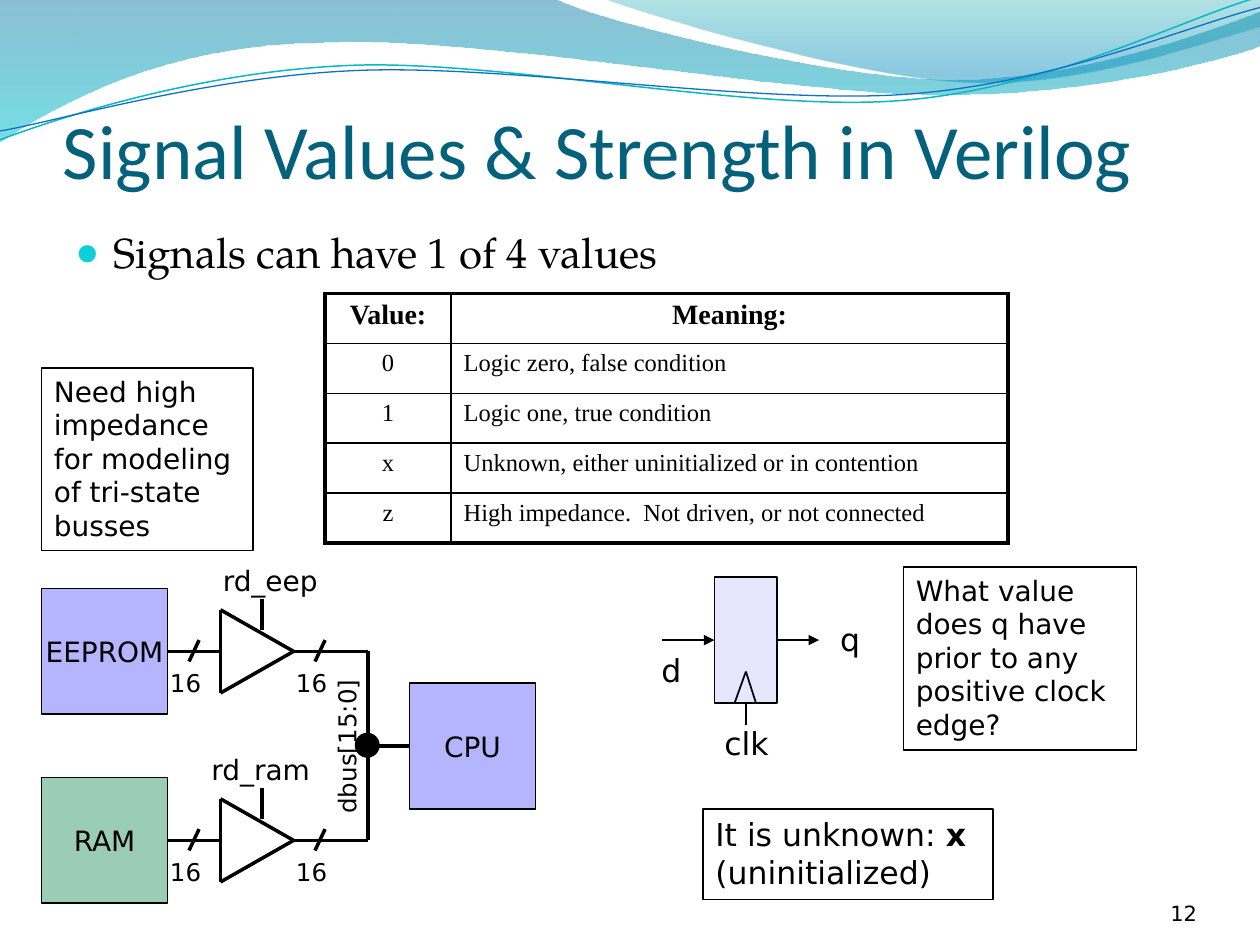
from lxml import etree
from pptx import Presentation, util as u
from pptx.dml.color import RGBColor
from pptx.enum import shapes, text
from pptx.oxml import parse_xml
from pptx.oxml.ns import nsdecls, qn

Inches, Pt = u.Inches, u.Pt
COLORS = {
    "black": "000000", "title": "04617B", "bullet": "0BD0D9",
    "block": "6969FF", "ram": "339966", "teal_line": "0AB8BF", "blue_line": "0F6FC6",
    "wave_top": "0074A1", "wave_bottom": "00C6CF",
    "crest_top": "00A1A9", "crest_bottom": "008BBF",
}
SANS, SERIF = "DejaVu Sans", "Times New Roman"
PLAIN = {"size": 16, "name": SANS, "color": "black", "bold": False}
LEFT, CENTER, RIGHT = text.PP_ALIGN.LEFT, text.PP_ALIGN.CENTER, text.PP_ALIGN.RIGHT
TOP, MIDDLE, BOTTOM = text.MSO_ANCHOR.TOP, text.MSO_ANCHOR.MIDDLE, text.MSO_ANCHOR.BOTTOM

# Each wave is a start point followed by lines (2 numbers) and Bezier curves (6).
WAVE = [(0, -.01), (4.4, -.01), (4.76, .17, 6.64, .63, 7.58, .63),
        (8.53, .63, 9.58, .26, 10, .09), (10.01, .36),
        (9.83, .44, 8.7, .76, 7.46, .75), (6.22, .75, 3.82, .28, 2.57, .34),
        (1.29, .35, .46, .83, -.01, 1.13)]
CREST = [(4.79, -.01), (5.09, .11, 6.82, .62, 7.69, .65),
         (8.56, .69, 9.61, .32, 10, .21), (10, 0)]
TEAL_CURVE = [(0, 1.11), (.48, .93, 1.58, .57, 2.77, .52),
              (3.95, .47, 5.93, .89, 7.13, .8), (8.33, .71, 9.38, .15, 9.98, -.02)]
BLUE_CURVE = [(0, 1.04), (.47, .96, 1.64, .61, 2.83, .56),
              (4.03, .51, 5.97, .83, 7.17, .75), (8.36, .67, 9.41, .21, 10, .06)]
ROWS = [("Value:", "Meaning:"), ("0", "Logic zero, false condition"),
        ("1", "Logic one, true condition"),
        ("x", "Unknown, either uninitialized or in contention"),
        ("z", "High impedance.  Not driven, or not connected")]


def rgb(color):
    return RGBColor.from_string(COLORS[color])


def fill_text(tf, paragraphs, align=LEFT, **fmt):
    """Write paragraphs; each is a string or a list of (string, format) runs."""
    fmt = {**PLAIN, **fmt}
    for i, content in enumerate(paragraphs):
        p = tf.add_paragraph() if i else tf.paragraphs[0]
        p.alignment = align
        for words, extra in [(content, {})] if isinstance(content, str) else content:
            r = p.add_run()
            r.text = words
            values = {**fmt, **extra}
            r.font.color.rgb = rgb(values.pop("color"))
            values["size"] = Pt(values["size"])
            for name, value in values.items():
                setattr(r.font, name, value)


def add_label(s, at, *paragraphs, wrap=False, anchor=TOP, margins=None, rotation=0, **fmt):
    sp = s.shapes.add_textbox(*map(Inches, at))
    sp.rotation = rotation
    tf = sp.text_frame
    tf.word_wrap, tf.vertical_anchor = wrap, anchor
    for side, margin in zip(("left", "top", "right", "bottom"), margins or ()):
        setattr(tf, f"margin_{side}", Inches(margin))
    fill_text(tf, paragraphs, **fmt)
    return sp


def add_box(s, at, *paragraphs, fill=None, alpha=100, kind="RECTANGLE", weight=1,
            wrap=False, anchor=TOP, **fmt):
    sp = s.shapes.add_shape(shapes.MSO_SHAPE[kind], *map(Inches, at))
    sp.shadow.inherit = False
    sp.line.color.rgb, sp.line.width = rgb("black"), Pt(weight)
    if fill:
        sp.fill.solid()
        sp.fill.fore_color.rgb = rgb(fill)
        if alpha < 100:
            clr = sp._element.spPr.find(qn("a:solidFill"))[0]
            etree.SubElement(clr, qn("a:alpha"), val=str(alpha * 1000))
    else:
        sp.fill.background()
    tf = sp.text_frame
    tf.word_wrap, tf.vertical_anchor = wrap, anchor
    fill_text(tf, paragraphs, **fmt)
    return sp


def add_block(s, at, name, fill):
    return add_box(s, (*at, 1, 1), name, fill=fill, alpha=49, anchor=MIDDLE, align=CENTER)


def add_wire(s, start, end, weight=2, arrow=False, begin=None, finish=None):
    """Draw a line; begin and finish are (shape, side) joints."""
    c = s.shapes.add_connector(shapes.MSO_CONNECTOR.STRAIGHT, *map(Inches, (*start, *end)))
    if begin:
        c.begin_connect(*begin)
    if finish:
        c.end_connect(*finish)
    c.line.color.rgb, c.line.width = rgb("black"), Pt(weight)
    if arrow:
        etree.SubElement(c.line._get_or_add_ln(), qn("a:tailEnd"), type="triangle")
    etree.SubElement(c._element.spPr, qn("a:effectLst"))


def bend_segments(sp, outline):
    """Merge each three line steps that stand for a curve into one Bezier curve."""
    steps = iter(list(sp._element.iter(qn("a:lnTo"))))
    for seg in outline[1:]:
        group = [next(steps) for _ in range(len(seg) // 2)]
        if len(group) == 3:
            curve = etree.Element(qn("a:cubicBezTo"))
            group[0].addprevious(curve)
            for step in group:
                curve.append(step[0])
                step.getparent().remove(step)


def add_wave(s, outline, stops=None, line=None):
    """Draw a filled wave from (position, color, alpha) stops, or a (color, width) curve."""
    points = [(round(seg[i] * 1000), round(seg[i + 1] * 1000))
              for seg in outline for i in range(0, len(seg), 2)]
    builder = s.shapes.build_freeform(*points[0], scale=Inches(1) / 1000)
    builder.add_line_segments(points[1:], close=bool(stops))
    sp = builder.convert_to_shape()
    bend_segments(sp, outline)
    sp.shadow.inherit = False
    sp.fill.background()
    if stops:
        sp.line.fill.background()
        gs = "".join(f'<a:gs pos="{pos * 1000}"><a:srgbClr val="{COLORS[color]}">'
                     f'<a:alpha val="{alpha * 1000}"/></a:srgbClr></a:gs>'
                     for pos, color, alpha in stops)
        spPr = sp._element.spPr
        spPr.replace(spPr.find(qn("a:noFill")), parse_xml(
            f'<a:gradFill {nsdecls("a")}><a:gsLst>{gs}</a:gsLst>'
            '<a:lin ang="5400000" scaled="0"/></a:gradFill>'))
    else:
        sp.line.color.rgb, sp.line.width = rgb(line[0]), Pt(line[1])


def add_bullet(p):
    pPr = p._p.get_or_add_pPr()
    pPr.set("marL", str(Inches(.3)))
    pPr.set("indent", str(-Inches(.3)))
    clr = etree.SubElement(pPr, qn("a:buClr"))
    etree.SubElement(clr, qn("a:srgbClr"), val=COLORS["bullet"])
    etree.SubElement(pPr, qn("a:buSzPct"), val="95000")
    etree.SubElement(pPr, qn("a:buFont"), typeface=SERIF)
    etree.SubElement(pPr, qn("a:buChar"), char="●")


def set_borders(cell, outer):
    """Give the sides named in outer a heavy line and the others a thin one."""
    for side in "LRTB":
        width = Pt(2.25 if side in outer else 1)
        ln = etree.SubElement(cell._tc.get_or_add_tcPr(), qn(f"a:ln{side}"), w=str(width))
        fill = etree.SubElement(ln, qn("a:solidFill"))
        etree.SubElement(fill, qn("a:srgbClr"), val=COLORS["black"])


def add_value_table(s):
    last = len(ROWS) - 1
    table = s.shapes.add_table(len(ROWS), 2, *map(Inches, (2.58, 2.33, 5.42, 1.98))).table
    for col, width in zip(table.columns, (1, 4.42)):
        col.width = Inches(width)
    for i, row in enumerate(ROWS):
        for j, words in enumerate(row):
            cell = table.cell(i, j)
            set_borders(cell, "LR"[j] + ("T" if i == 0 else "B" if i == last else ""))
            cell.fill.background()
            fill_text(cell.text_frame, [words], LEFT if i and j else CENTER,
                      size=14 if i else 16, name=SERIF, bold=i == 0)


def add_tristate(s, block, y, enable, enable_x, enable_width):
    """Draw a block's buffered 16-bit path to the bus, centred on height y."""
    tip, back, half = (2.33, y), 1.75, .33
    upper, lower = (back, y - half), (back, y + half)
    for start, end in ((tip, upper), (tip, lower), (lower, upper), (tip, (2.92, y)),
                       ((2.08, y - .17), (2.08, y - .42))):
        add_wire(s, start, end)
    add_wire(s, (back, y), (1.33, y), finish=(block, 3))
    for x in (1.5, 2.5):
        add_wire(s, (x + .08, y - .09), (x, y + .08))
        add_label(s, (x - .25, y + .08, .45, .33), "16", size=14)
    add_label(s, (enable_x, y - .75, enable_width, .37), enable)


def add_bus_diagram(s):
    eeprom = add_block(s, (.33, 4.67), "EEPROM", "block")
    ram = add_block(s, (.33, 6.17), "RAM", "ram")
    add_tristate(s, eeprom, 5.17, "rd_eep", 1.67, .98)
    add_tristate(s, ram, 6.67, "rd_ram", 1.58, 1.02)
    cpu = add_block(s, (3.25, 5.42), "CPU", "block")
    add_wire(s, (2.92, 5.17), (2.92, 6.67))
    add_wire(s, (2.92, 5.92), (3.25, 5.92), finish=(cpu, 1))
    add_box(s, (2.83, 5.83, .17, .17), fill="black", kind="OVAL", weight=2)
    add_label(s, (2.1, 5.74, 1.3, .33), "dbus[15:0]", size=14, rotation=270)


def add_flip_flop(s):
    ff = add_box(s, (5.67, 4.58, .5, 1), fill="block", alpha=16)
    for start, end in (((5.92, 5.33), (5.83, 5.58)), ((6, 5.58), (5.92, 5.33))):
        add_wire(s, start, end, 1)
    add_wire(s, (5.92, 5.58), (5.92, 5.75), 1, begin=(ff, 2))
    add_wire(s, (5.25, 5.08), (5.67, 5.08), 1, arrow=True, finish=(ff, 1))
    add_wire(s, (6.17, 5.08), (6.5, 5.08), 1, arrow=True, begin=(ff, 3))
    for name, x, y, width in (("clk", 5.65, 5.7, .55), ("q", 6.57, 4.87, .36),
                              ("d", 5.15, 5.12, .36)):
        add_label(s, (x, y, width, .4), name, size=18)


def main():
    prs = Presentation()
    prs.slide_width, prs.slide_height = Inches(10), Inches(7.5)
    s = prs.slides.add_slide(prs.slide_layouts[6])
    add_wave(s, WAVE, [(0, "wave_top", 45), (100, "wave_bottom", 55)])
    add_wave(s, CREST, [(0, "crest_top", 30), (80, "crest_bottom", 45)])
    add_wave(s, TEAL_CURVE, line=("teal_line", .85))
    add_wave(s, BLUE_CURVE, line=("blue_line", .75))
    add_label(s, (.5, .3, 9, 1.25), "Signal Values & Strength in Verilog", wrap=True,
              anchor=BOTTOM, margins=(0, .05, 0, 0), size=44, name="Calibri", color="title")
    body = add_label(s, (.5, 1.75, 4.92, 5.42), "Signals can have 1 of 4 values", wrap=True,
                     size=24, name="TeX Gyre Pagella")
    add_bullet(body.text_frame.paragraphs[0])
    add_value_table(s)
    add_label(s, (8.67, 6.95, .83, .4), "12", wrap=True, anchor=BOTTOM,
              margins=(0, 0, 0, 0), size=12, align=RIGHT)
    add_box(s, (.33, 2.92, 1.68, 1.45), "Need high impedance for modeling of tri-state",
            "busses", wrap=True)
    add_bus_diagram(s)
    add_flip_flop(s)
    add_box(s, (7.17, 4.5, 1.85, 1.45), "What value",
            "does q have prior to any positive clock edge?", wrap=True)
    add_box(s, (5.58, 6.42, 2.3, .72), [("It is unknown: ", {}), ("x", {"bold": True})],
            "(uninitialized)", size=18)
    prs.save("out.pptx")


if __name__ == "__main__":
    main()
